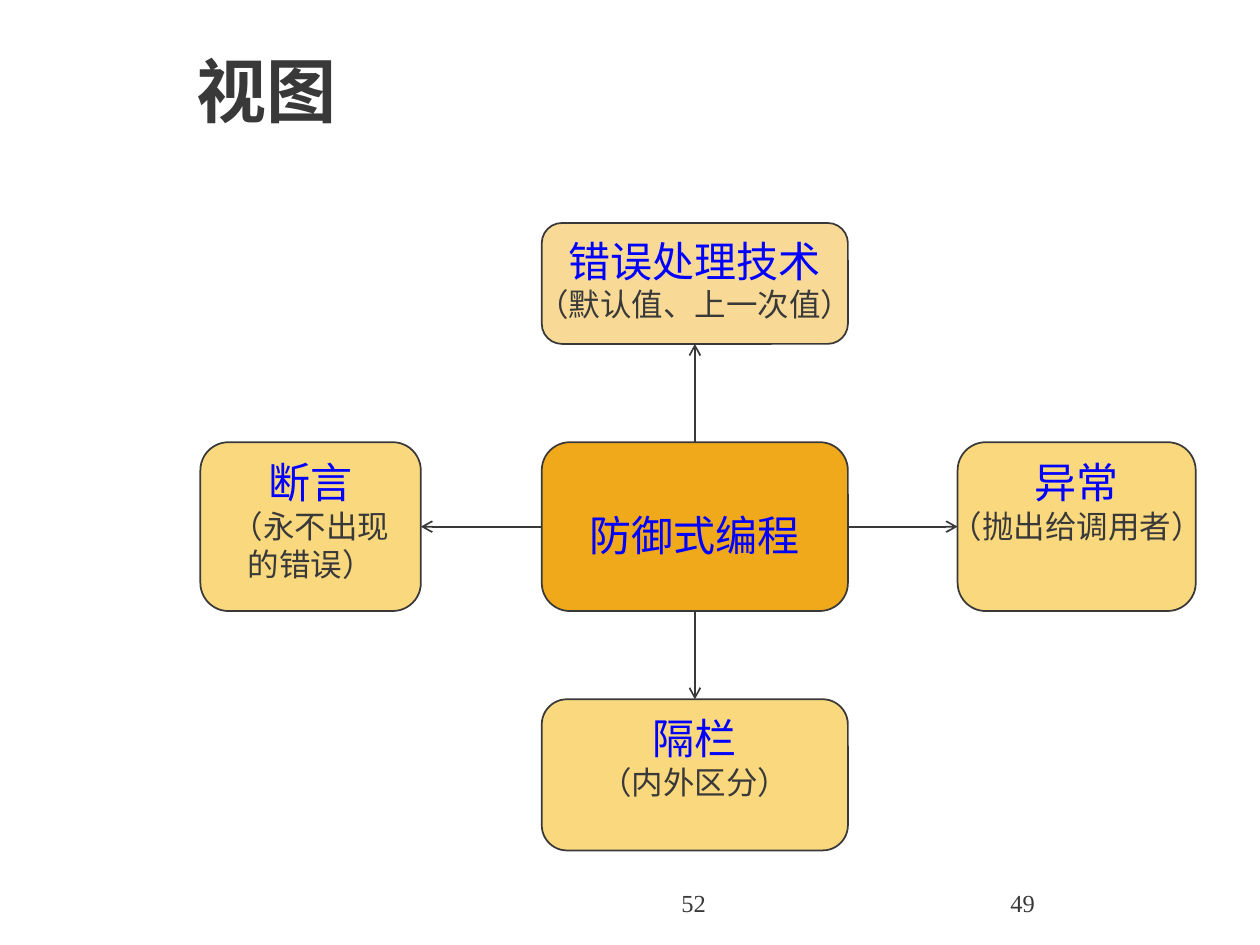
import dataclasses

import pptx
import pptx.dml.color
import pptx.enum.shapes
import pptx.enum.text
import pptx.oxml
import pptx.oxml.ns
import pptx.util
from pptx.util import Inches

ALIGN = pptx.enum.text.PP_ALIGN
ANCHOR = pptx.enum.text.MSO_ANCHOR
TOP, LEFT, BOTTOM, RIGHT = range(4)


@dataclasses.dataclass(frozen=True)
class Theme:
    """Font, colours and type sizes of the slide."""
    font: str = "Times New Roman"
    ink: str = "393939"
    term: str = "0000FF"
    hub: str = "F0A91A"
    branch: str = "F9D87E"
    technique: str = "F8DA96"
    title_size: int = 40
    term_size: int = 24
    note_size: int = 18
    number_size: int = 14
    line: float = 1


THEME = Theme()


def rgb(value):
    """Return a colour from its hex digits."""
    return pptx.dml.color.RGBColor.from_string(value)


def add_run(p, text, size, color, bold=False):
    """Add one formatted run to a paragraph."""
    r = p.add_run()
    r.text = text
    r.font.name = THEME.font
    r.font.size = pptx.util.Pt(size)
    r.font.color.rgb = rgb(color)
    r.font.bold = bold


def place_title(s, text, left, top, width, height):
    """Move the title placeholder into its box and fill it."""
    sp = s.shapes.title
    sp.left, sp.top, sp.width, sp.height = map(Inches, (left, top, width, height))
    tf = sp.text_frame
    tf.vertical_anchor = ANCHOR.MIDDLE
    p = tf.paragraphs[0]
    p.alignment = ALIGN.LEFT
    add_run(p, text, THEME.title_size, THEME.ink, bold=True)


def add_number(s, text, align, left, top, width, height):
    """Add a page number in the footer."""
    tf = s.shapes.add_textbox(*map(Inches, (left, top, width, height))).text_frame
    tf.word_wrap = True
    p = tf.paragraphs[0]
    p.alignment = align
    add_run(p, text, THEME.number_size, THEME.ink)


def add_node(s, term, notes, fill, left, top, width, height):
    """Add a rounded box with a term and its note lines."""
    sp = s.shapes.add_shape(pptx.enum.shapes.MSO_SHAPE.ROUNDED_RECTANGLE,
                            *map(Inches, (left, top, width, height)))
    sp.shadow.inherit = False
    sp.fill.solid()
    sp.fill.fore_color.rgb = rgb(fill)
    sp.line.color.rgb = rgb(THEME.ink)
    sp.line.width = pptx.util.Pt(THEME.line)
    tf = sp.text_frame
    tf.word_wrap = False
    tf.vertical_anchor = ANCHOR.TOP if notes else ANCHOR.MIDDLE
    if not notes:
        tf.margin_top = Inches(0.17)
    p = tf.paragraphs[0]
    p.alignment = ALIGN.CENTER
    add_run(p, term, THEME.term_size, THEME.term)
    for note in notes:
        p = tf.add_paragraph()
        p.alignment = ALIGN.CENTER
        add_run(p, note, THEME.note_size, THEME.ink)
    return sp


def add_arrow(s, start, start_site, end, end_site):
    """Connect two nodes with an open arrowhead at the end."""
    c = s.shapes.add_connector(pptx.enum.shapes.MSO_CONNECTOR.STRAIGHT, 0, 0, 0, 0)
    c.begin_connect(start, start_site)
    c.end_connect(end, end_site)
    c.line.color.rgb = rgb(THEME.ink)
    c.line.width = pptx.util.Pt(THEME.line)
    tail = pptx.oxml.parse_xml(
        f'<a:tailEnd {pptx.oxml.ns.nsdecls("a")} type="arrow"/>')
    c.line._get_or_add_ln().append(tail)
    c._element.spPr.append(pptx.oxml.parse_xml(
        f'<a:effectLst {pptx.oxml.ns.nsdecls("a")}/>'))


def add_diagram(s, left, top, width, height):
    """Add the central node and its four branches within a box."""
    hub_x, hub_y, hub_w, hub_h = left + 2.71, top + 1.74, 2.43, 1.34
    left_w, right_w, top_h, bottom_h = 1.75, 1.89, 0.96, 1.2
    hub = add_node(s, "防御式编程", [], THEME.hub, hub_x, hub_y, hub_w, hub_h)
    branches = [
        ("错误处理技术", ["（默认值、上一次值）"], THEME.technique,
         (hub_x, top, hub_w, top_h), TOP, BOTTOM),
        ("断言", ["（永不出现", "的错误）"], THEME.branch,
         (left, hub_y, left_w, hub_h), LEFT, RIGHT),
        ("异常", ["（抛出给调用者）"], THEME.branch,
         (left + width - right_w, hub_y, right_w, hub_h), RIGHT, LEFT),
        ("隔栏", ["（内外区分）"], THEME.branch,
         (hub_x, top + height - bottom_h, hub_w, bottom_h), BOTTOM, TOP),
    ]
    for term, notes, fill, box, hub_site, site in branches:
        node = add_node(s, term, notes, fill, *box)
        add_arrow(s, hub, hub_site, node, site)


def main():
    """Build and save the slide."""
    prs = pptx.Presentation()
    prs.slide_width, prs.slide_height = Inches(10), Inches(7.5)
    s = prs.slides.add_slide(prs.slide_layouts.get_by_name("Title Only"))
    place_title(s, "视图", 1.46, 0.05, 8.5, 1.32)
    add_number(s, "52", ALIGN.CENTER, 3.92, 7, 3.17, 0.5)
    add_number(s, "49", ALIGN.LEFT, 7.92, 7, 2.08, 0.5)
    add_diagram(s, 1.59, 1.77, 7.9, 4.98)
    prs.save("out.pptx")


if __name__ == "__main__":
    main()
